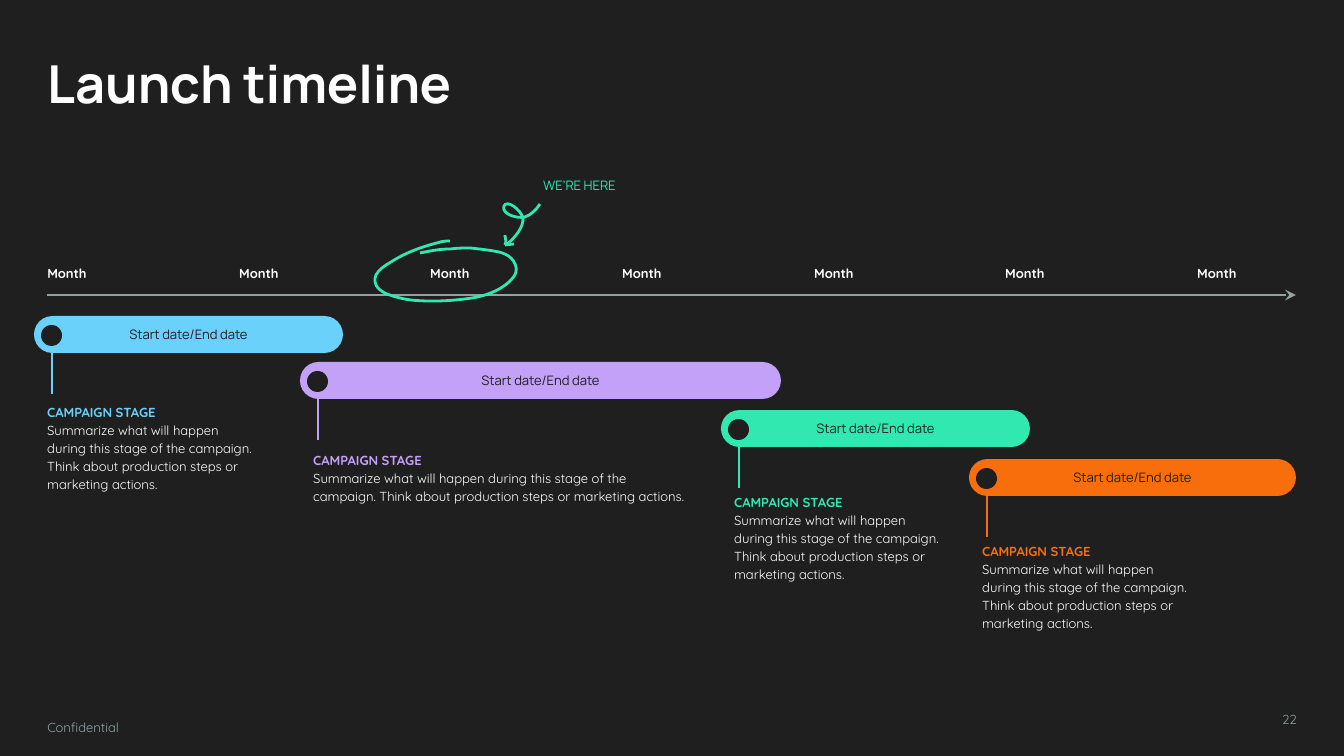
from pptx import Presentation
from pptx.dml.color import RGBColor
from pptx.enum.shapes import MSO_CONNECTOR, MSO_SHAPE
from pptx.enum.text import MSO_ANCHOR as Anchor, PP_ALIGN as Align
from pptx.oxml.ns import qn
from pptx.util import Pt
from lxml.etree import SubElement

PX = 914400 / 134.4  # EMU in one px
INSET = 91440

DARK = RGBColor(0x1F, 0x1F, 0x1F)
WHITE = RGBColor(0xFF, 0xFF, 0xFF)
GREY = RGBColor(0x93, 0xA2, 0xA2)
BLUE = RGBColor(0x6A, 0xD1, 0xFA)
PURPLE = RGBColor(0xC3, 0xA1, 0xF8)
GREEN = RGBColor(0x30, 0xE8, 0xB0)
ORANGE = RGBColor(0xF9, 0x6E, 0x0C)

BAR_HEIGHT = 37
SUMMARY = ("Summarize what will happen during this stage of the campaign. "
           "Think about production steps or marketing actions.")

# bar left, bar top, bar width, caption top, caption width, colour
STAGES = [
    (34, 316, 309, 389, 238, BLUE),
    (300, 362, 481, 437, 404, PURPLE),
    (721, 410, 309, 479, 238, GREEN),
    (969, 459, 327, 528, 238, ORANGE),
]

# Hand-drawn strokes: a start point, then three points for each Bézier curve
CIRCLE = [
    (450, 241), (445, 241), (443, 241), (437, 243), (421, 247), (405, 253),
    (391, 262), (386, 265), (379, 269), (376, 275), (374, 279), (375, 285),
    (378, 288), (380, 290), (384, 293), (387, 294), (395, 297), (403, 299),
    (411, 300), (431, 302), (452, 301), (472, 298), (485, 296), (499, 291),
    (509, 282), (512, 279), (515, 276), (516, 272), (517, 267), (515, 262),
    (511, 258), (508, 255), (503, 253), (499, 252), (489, 250), (480, 249),
    (470, 248), (464, 248), (457, 248), (450, 249), (439, 249), (430, 251),
    (420, 253)]
CURL = [
    (540, 204), (536, 210), (531, 215), (525, 217), (517, 219), (501, 214),
    (504, 206), (507, 199), (521, 210), (523, 218), (524, 227), (515, 238),
    (506, 245)]
ARROW_SIDE = [(505, 235), (505, 238), (507, 242), (505, 245)]
ARROW_BASE = [(505, 245), (508, 245), (511, 244), (514, 244)]


def px(*lengths):
    return [round(length * PX) for length in lengths]


def write(shape, lines, font, size=7, spacing=None, align=Align.LEFT,
          anchor=Anchor.TOP, top=INSET, bottom=INSET):
    """Write one paragraph for each (text, colour, bold) line."""
    frame = shape.text_frame
    settings = dict(word_wrap=True, vertical_anchor=anchor, margin_left=INSET,
                    margin_right=INSET, margin_top=top, margin_bottom=bottom)
    for key, value in settings.items():
        setattr(frame, key, value)
    for number, (words, color, bold) in enumerate(lines):
        paragraph = frame.add_paragraph() if number else frame.paragraphs[0]
        paragraph.alignment = align
        paragraph.line_spacing = spacing
        run = paragraph.add_run()
        run.text = words
        for key, value in dict(name=font, size=Pt(size), bold=bold).items():
            setattr(run.font, key, value)
        run.font.color.rgb = color


def add_text(slide, box, lines, font="Quicksand", **style):
    write(slide.shapes.add_textbox(*px(*box)), lines, font, **style)


def add_solid(slide, kind, box, color=None):
    shape = slide.shapes.add_shape(kind, *px(*box))
    shape.shadow.inherit = False
    shape.line.fill.background()
    if color is None:
        shape.fill.background()
    else:
        shape.fill.solid()
        shape.fill.fore_color.rgb = color
    return shape


def add_pill(slide, box, words, color, fill=None):
    pill = add_solid(slide, MSO_SHAPE.ROUNDED_RECTANGLE, box, fill)
    pill.adjustments[0] = 0.5
    write(pill, [(words, color, False)], "Manrope",
          align=Align.CENTER, anchor=Anchor.MIDDLE)


def add_line(slide, ends, color, arrow=False):
    line = slide.shapes.add_connector(MSO_CONNECTOR.STRAIGHT, *px(*ends))
    line.line.color.rgb = color
    line.line.width = Pt(0.75)
    if arrow:
        SubElement(line.line._get_or_add_ln(), qn("a:tailEnd"), type="stealth")
    SubElement(line._element.spPr, qn("a:effectLst"))


def add_stroke(slide, stroke, color):
    """Draw a chain of cubic Bézier curves."""
    builder = slide.shapes.build_freeform(*px(*stroke[0]))
    builder.add_line_segments([px(*point) for point in stroke[1:]],
                              close=False)
    shape = builder.convert_to_shape()
    # Join each three straight segments into one curve
    outline = next(shape._element.iter(qn("a:path")))
    segments = outline.findall(qn("a:lnTo"))
    for first in range(0, len(segments), 3):
        curve = SubElement(outline, qn("a:cubicBezTo"))
        for segment in segments[first:first + 3]:
            curve.append(segment[0])
            outline.remove(segment)
    shape.shadow.inherit = False
    shape.fill.background()
    shape.line.color.rgb = color
    shape.line.width = Pt(1.5)


def add_stage(slide, left, top, width, caption_top, caption_width, color):
    add_pill(slide, (left, top, width, BAR_HEIGHT), "Start date/End date",
             DARK, color)
    add_solid(slide, MSO_SHAPE.OVAL, (left + 7, top + 9, 21, 21), DARK)
    stem = left + 18
    add_line(slide, (stem, top + 30, stem, top + 78), color)
    add_text(slide, (left, caption_top, caption_width, 102),
             [("CAMPAIGN STAGE", color, True), (SUMMARY, WHITE, False)],
             spacing=1.15, bottom=0)


def main():
    deck = Presentation()
    deck.slide_width, deck.slide_height = px(1344, 756)
    slide = deck.slides.add_slide(deck.slide_layouts[6])
    slide.background.fill.solid()
    slide.background.fill.fore_color.rgb = DARK

    # Title
    add_text(slide, (34, 38, 839, 90), [("Launch timeline", WHITE, True)],
             "Manrope", size=28)

    # Month axis
    add_line(slide, (47, 295, 1296, 295), GREY, arrow=True)
    for month in range(7):
        left = 34 + round(month * 1150 / 6)
        add_text(slide, (left, 252, 112, 30), [("Month", WHITE, True)],
                 bottom=0)

    # Campaign stages
    for stage in STAGES:
        add_stage(slide, *stage)

    # Marker for the current month
    for stroke in (CIRCLE, CURL, ARROW_SIDE, ARROW_BASE):
        add_stroke(slide, stroke, GREEN)
    add_pill(slide, (504, 167, 151, BAR_HEIGHT), "WE’RE HERE", GREEN)

    # Footer
    add_text(slide, (34, 706, 164, 46), [("Confidential", GREY, False)],
             spacing=1.15, top=px(17)[0])
    add_text(slide, (987, 706, 323, 43), [("22", GREY, False)],
             align=Align.RIGHT, top=px(9)[0])

    deck.save("out.pptx")


if __name__ == "__main__":
    main()
